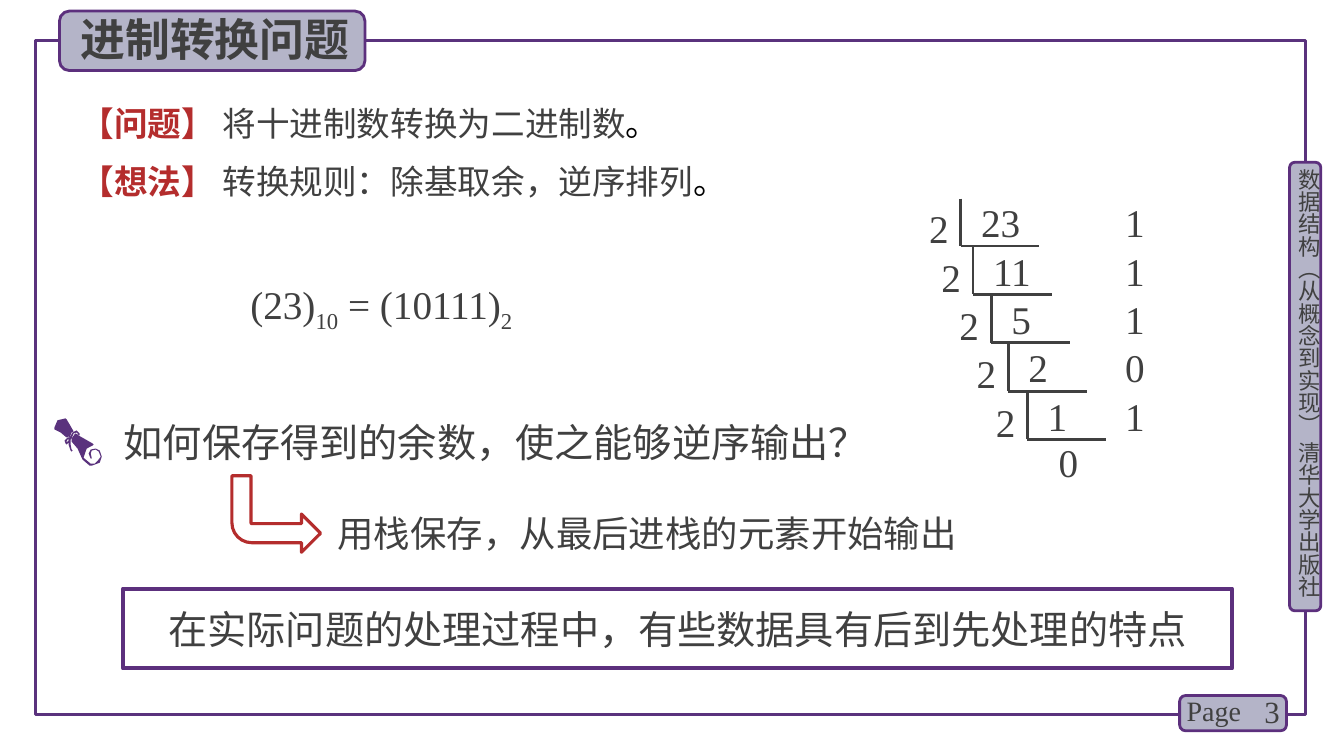
from lxml.etree import SubElement
from pptx import Presentation
from pptx.dml.color import RGBColor
from pptx.enum.shapes import MSO_CONNECTOR as Connector, MSO_SHAPE as Shape
from pptx.enum.text import MSO_ANCHOR as Anchor, MSO_AUTO_SIZE as AutoSize, PP_ALIGN as Align
from pptx.oxml.ns import qn
from pptx.util import Emu, Pt

EMU_PER_PX = 9144
SANS, SERIF = "Noto Sans CJK SC", "Times New Roman"
INK, PURPLE, FRAME, LILAC, RED = "404040", "5C307D", "5A327D", "B4B4C8", "B42D2D"

RIBBON_END = [[(68, 433), (69, 434), (71, 429), (73, 428), (69, 421), (66, 416), (65, 415),
               (57, 417), (54, 424), (54, 426), (60, 429), (66, 434)]]
SCROLL = [[(99, 447), (95, 445), (90, 446), (88, 450), (90, 455), (91, 455), (91, 454),
           (90, 450), (91, 447), (95, 446), (98, 448), (100, 453), (97, 457), (94, 460),
           (90, 460), (84, 455), (83, 454), (86, 445), (92, 442), (93, 441), (92, 440),
           (78, 432), (77, 431), (75, 430), (74, 431), (71, 435), (71, 438), (77, 445),
           (81, 454), (82, 456), (89, 462), (91, 462), (99, 459), (101, 453)]]
BOW = [[(71, 448), (70, 447), (68, 441), (68, 439), (66, 441), (65, 440), (64, 437),
        (67, 434), (69, 434), (72, 429), (76, 427), (77, 428), (79, 430), (79, 432),
        (78, 432), (77, 430), (76, 429), (73, 430), (71, 435), (70, 436), (70, 441),
        (71, 446), (72, 447)],
       [(67, 436), (66, 438), (66, 439), (68, 437), (68, 436)]]


def px(length):
    """Turn px into EMU."""
    return Emu(length * EMU_PER_PX)


def color(hex_code):
    """Turn a hex string into a colour."""
    return RGBColor.from_string(hex_code)


def write(paragraph, text, size=28, ink=INK, font=SERIF, bold=False, baseline=0):
    """Add one formatted run to a paragraph."""
    run = paragraph.add_run()
    run.text = text
    run.font.size, run.font.bold, run.font.name = Pt(size), bold, font
    run.font.color.rgb = color(ink)
    properties = run.font._element
    SubElement(properties, qn("a:ea")).set("typeface", SANS)
    if baseline:
        properties.set("baseline", str(baseline * 1000))


class Board:
    """Hold the presentation, its current slide and the drawing style."""

    def __init__(self, width, height):
        """Open a blank slide of the given size."""
        self.presentation = Presentation()
        self.presentation.slide_width, self.presentation.slide_height = px(width), px(height)
        self.slide = self.presentation.slides.add_slide(self.presentation.slide_layouts[6])
        self.shapes = self.slide.shapes

    def paint(self, shape, fill=None, line=None, weight=2):
        """Set the fill and outline of a shape."""
        shape.shadow.inherit = False
        if fill:
            shape.fill.solid()
            shape.fill.fore_color.rgb = color(fill)
        else:
            shape.fill.background()
        if line:
            shape.line.color.rgb = color(line)
            shape.line.width = Pt(weight)
        else:
            shape.line.fill.background()
        return shape

    def preset(self, kind, box, **style):
        """Add a preset shape."""
        return self.paint(self.shapes.add_shape(kind, *map(px, box)), **style)

    def outline(self, contours, fill):
        """Add a filled freeform made of closed contours."""
        builder = self.shapes.build_freeform(*contours[0][0], scale=EMU_PER_PX)
        builder.add_line_segments(contours[0][1:])
        for contour in contours[1:]:
            builder.move_to(*contour[0])
            builder.add_line_segments(contour[1:])
        return self.paint(builder.convert_to_shape(), fill=fill)

    def line(self, start, end):
        """Add a straight line."""
        line = self.shapes.add_connector(Connector.STRAIGHT, *map(px, start + end))
        line.line.color.rgb = color(INK)
        line.line.width = Pt(2)
        SubElement(line._element.spPr, qn("a:effectLst"))

    def text(self, box, *pieces, align=Align.LEFT, inset=True, spacing=None,
             anchor=Anchor.TOP, grow=True, vertical=False, **style):
        """Add a text box whose pieces are strings or (string, format) pairs."""
        frame = self.shapes.add_textbox(*map(px, box)).text_frame
        frame.word_wrap = True
        frame.vertical_anchor = anchor
        frame.auto_size = AutoSize.SHAPE_TO_FIT_TEXT if grow else AutoSize.NONE
        if not inset:
            frame.margin_left = frame.margin_right = frame.margin_top = frame.margin_bottom = 0
        if vertical:
            frame._txBody.bodyPr.set("vert", "eaVert")
        paragraph = frame.paragraphs[0]
        paragraph.alignment = align
        if spacing:
            paragraph.line_spacing = Pt(spacing)
        for piece in pieces:
            text, own = (piece, {}) if isinstance(piece, str) else piece
            write(paragraph, text, **{**style, **own})

    def division_step(self, left, top, dividend, remainder):
        """Add one step of the short division by 2."""
        corner = (left, top + 47)
        self.text((left + 20, top, 55, 47), dividend, inset=False)
        self.line((left, top), corner)
        self.line(corner, (left + 78, top + 47))
        self.text((left - 67, top + 6, 55, 47), "2", align=Align.RIGHT, inset=False)
        self.text((1116, top, 55, 47), remainder, inset=False)


def main():
    """Build the slide on number base conversion."""
    board = Board(1333, 750)
    badge = {"fill": LILAC, "line": PURPLE}
    board.preset(Shape.RECTANGLE, (35, 40, 1260, 669), line=FRAME, weight=2.25)
    board.preset(Shape.ROUNDED_RECTANGLE, (1279, 161, 31, 445), **badge)
    board.text((1285, 167, 27, 449), "数据结构（从概念到实现） 清华大学出版社",
               size=16, font=SANS, inset=False, vertical=True)
    board.preset(Shape.ROUNDED_RECTANGLE, (1170, 690, 106, 35), **badge)
    board.text((1220, 686, 59, 40), "3", size=22, align=Align.RIGHT,
               anchor=Anchor.MIDDLE, grow=False)
    board.text((1167, 683, 78, 44), "Page", size=20)
    board.preset(Shape.ROUNDED_RECTANGLE, (59, 11, 303, 59), **badge)
    board.text((70, 7, 299, 64), "进制转换问题", size=32, font=SANS, bold=True)

    label, stop = {"ink": RED, "bold": True}, ("。", {"ink": "000000"})
    board.text((70, 97, 1142, 50), ("【问题】 ", label), "将十进制数转换为二进制数", stop, size=24)
    board.text((70, 153, 1212, 52), ("【想法】 ", label), "转换规则：除基取余，逆序排列", stop,
               size=24, spacing=30)
    subscript = {"baseline": -25}
    board.text((197, 278, 368, 47), "(23)", ("10", subscript), " = (10111)", ("2 ", subscript),
               align=Align.CENTER, inset=False)

    steps = [(953, "23", "1"), (965, "11", "1"), (983, "5", "1"), (1000, "2", "0"), (1019, "1", "1")]
    for row, (left, dividend, remainder) in enumerate(steps):
        board.division_step(left, 197 + 48 * row, dividend, remainder)
    board.text((1050, 435, 55, 47), "0", inset=False)

    for contours in (RIBBON_END, SCROLL, BOW):
        board.outline(contours, FRAME)
    board.text((113, 410, 1162, 57), "如何保存得到的余数，使之能够逆序输出？")
    arrow = board.preset(Shape.BENT_ARROW, (230, 472, 88, 76), line=RED, weight=2.25)
    arrow.adjustments[3] = 0.26
    arrow._element.spPr.xfrm.set("flipV", "1")
    board.text((325, 502, 897, 54), "用栈保存，从最后进栈的元素开始输出", size=26)

    summary = board.preset(Shape.RECTANGLE, (122, 584, 1100, 79), line=PURPLE, weight=3)
    summary.text_frame.vertical_anchor = Anchor.MIDDLE
    summary.text_frame.word_wrap = True
    paragraph = summary.text_frame.paragraphs[0]
    paragraph.alignment = Align.CENTER
    write(paragraph, "在实际问题的处理过程中，有些数据具有后到先处理的特点", font=SANS)
    board.presentation.save("out.pptx")


if __name__ == "__main__":
    main()
